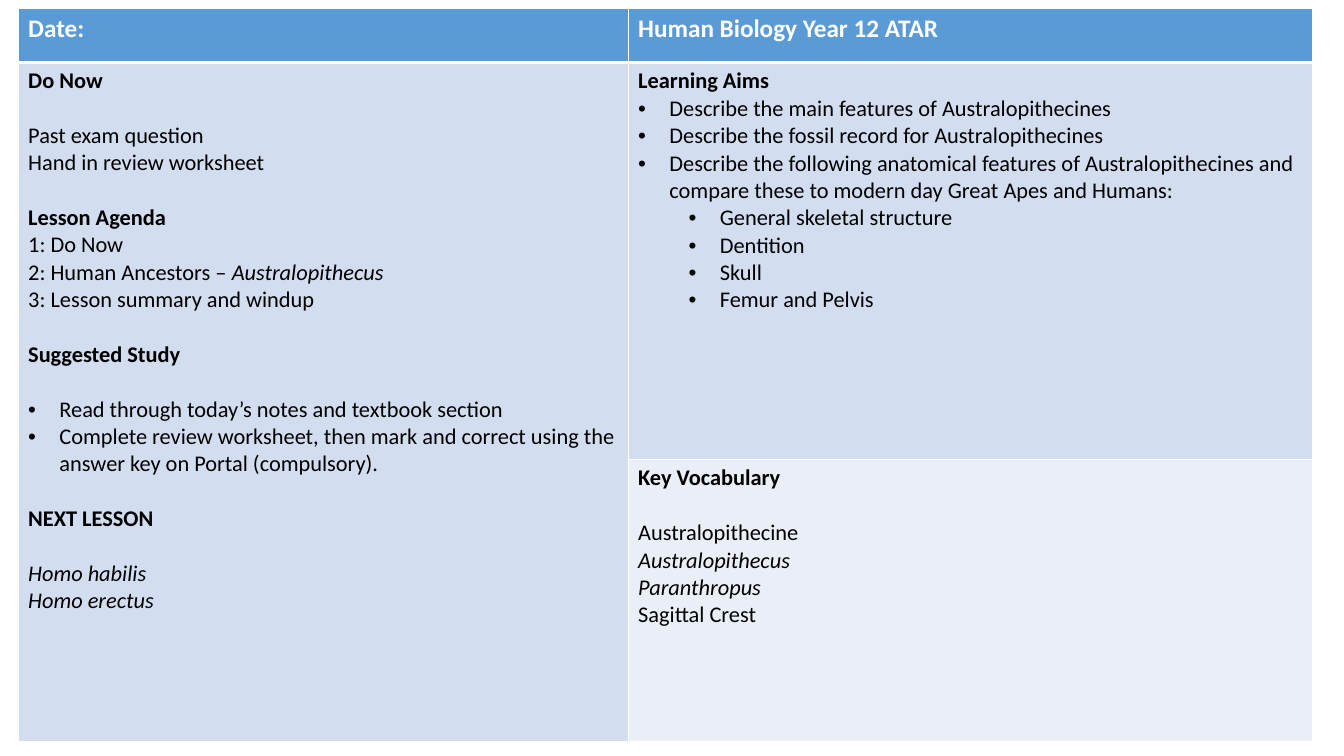
"""Build a lesson overview slide: agenda, learning aims and vocabulary in one table."""
from dataclasses import dataclass

from lxml import etree
from pptx import Presentation
from pptx import util as u
from pptx.dml.color import RGBColor
from pptx.oxml import ns

FONT = "Calibri"
BLUE, PALE, PALER = "5B9BD5", "D2DEEF", "EAEFF7"
WHITE, BLACK = "FFFFFF", "000000"
COLUMN_WIDTHS = (6.05, 6.79)
ROW_HEIGHTS = (0.54, 3.94, 2.8)
BULLET_HANG = 0.31
BODY_SIZE = 16
LINE_GAP = 19.5


@dataclass(frozen=True)
class Line:
    """One paragraph; the tail is a closing part in italics."""
    text: str = ""
    tail: str = ""
    bold: bool = False
    gap: bool = False
    bullet_left: float = 0


@dataclass(frozen=True)
class CellSpec:
    """One table cell with its place, fill and lines."""
    row: int
    column: int
    fill: str
    lines: tuple[Line, ...]
    size: int = BODY_SIZE
    color: str = BLACK


def heading(text: str, gap: bool = False) -> Line:
    """Return a bold line."""
    return Line(text, bold=True, gap=gap)


def bullet(text: str, level: int = 0, gap: bool = False) -> Line:
    """Return a bulleted line, indented by half an inch per level."""
    return Line(text, gap=gap, bullet_left=BULLET_HANG + 0.5 * level)


CELLS = (
    CellSpec(0, 0, BLUE, (heading("Date:"),), 18, WHITE),
    CellSpec(0, 1, BLUE, (heading("Human Biology Year 12 ATAR"),), 18, WHITE),
    CellSpec(1, 0, PALE, (
        heading("Do Now"),
        Line("Past exam question", gap=True),
        Line("Hand in review worksheet"),
        heading("Lesson Agenda", gap=True),
        Line("1: Do Now"),
        Line("2: Human Ancestors – ", "Australopithecus"),
        Line("3: Lesson summary and windup"),
        heading("Suggested Study", gap=True),
        bullet("Read through today’s notes and textbook section", gap=True),
        bullet("Complete review worksheet, then mark and correct using the "
               "answer key on Portal (compulsory)."),
        heading("NEXT LESSON", gap=True),
        Line(tail="Homo habilis", gap=True),
        Line(tail="Homo erectus"),
    )),
    CellSpec(1, 1, PALE, (
        heading("Learning Aims"),
        bullet("Describe the main features of Australopithecines"),
        bullet("Describe the fossil record for Australopithecines"),
        bullet("Describe the following anatomical features of Australopithecines "
               "and compare these to modern day Great Apes and Humans:"),
        bullet("General skeletal structure", 1),
        bullet("Dentition", 1),
        bullet("Skull", 1),
        bullet("Femur and Pelvis", 1),
    )),
    CellSpec(2, 0, PALE, ()),
    CellSpec(2, 1, PALER, (
        heading("Key Vocabulary"),
        Line("Australopithecine", gap=True),
        Line(tail="Australopithecus"),
        Line(tail="Paranthropus"),
        Line("Sagittal Crest"),
    )),
)


def rgb(color: str) -> RGBColor:
    """Turn a hex string into a colour."""
    return RGBColor.from_string(color)


def add_span(para, text: str, *, size: int, color: str,
             bold: bool = False, italic: bool = False) -> None:
    """Add formatted text to a paragraph."""
    span = para.add_run()
    span.text = text
    font = span.font
    font.name, font.size, font.bold, font.italic = FONT, u.Pt(size), bold, italic
    font.color.rgb = rgb(color)


def add_bullet(para, left: float) -> None:
    """Give a paragraph a hanging bullet."""
    properties = para._p.get_or_add_pPr()
    properties.set("marL", str(u.Inches(left)))
    properties.set("indent", str(-u.Inches(BULLET_HANG)))
    font = etree.SubElement(properties, ns.qn("a:buFont"))
    font.set("typeface", "Arial")
    etree.SubElement(properties, ns.qn("a:buChar")).set("char", "•")


def add_borders(cell, row: int) -> None:
    """Draw white cell borders, thicker below the header row."""
    widths = {"L": 1, "R": 1, "T": 3 if row == 1 else 1, "B": 3 if row == 0 else 1}
    properties = cell._tc.get_or_add_tcPr()
    for side, width in widths.items():
        border = etree.SubElement(properties, ns.qn(f"a:ln{side}"))
        border.set("w", str(u.Pt(width)))
        fill = etree.SubElement(border, ns.qn("a:solidFill"))
        etree.SubElement(fill, ns.qn("a:srgbClr")).set("val", WHITE)


def fill_cell(cell, spec: CellSpec) -> None:
    """Style a cell and write its lines."""
    add_borders(cell, spec.row)
    cell.fill.solid()
    cell.fill.fore_color.rgb = rgb(spec.fill)
    frame = cell.text_frame
    for index, line in enumerate(spec.lines):
        para = frame.add_paragraph() if index else frame.paragraphs[0]
        if line.gap:
            para.space_before = u.Pt(LINE_GAP)
        if line.bullet_left:
            add_bullet(para, line.bullet_left)
        for text, italic in ((line.text, False), (line.tail, True)):
            if text:
                add_span(para, text, size=spec.size, color=spec.color,
                         bold=line.bold, italic=italic)


def main() -> None:
    """Create and save the slide."""
    deck = Presentation()
    deck.slide_width, deck.slide_height = u.Inches(13.33), u.Inches(7.5)
    page = deck.slides.add_slide(deck.slide_layouts[6])
    table = page.shapes.add_table(
        len(ROW_HEIGHTS), len(COLUMN_WIDTHS), u.Inches(0.18), u.Inches(0.08),
        u.Inches(sum(COLUMN_WIDTHS)), u.Inches(sum(ROW_HEIGHTS))).table
    for column, width in zip(table.columns, COLUMN_WIDTHS):
        column.width = u.Inches(width)
    for row, height in zip(table.rows, ROW_HEIGHTS):
        row.height = u.Inches(height)
    table.cell(1, 0).merge(table.cell(2, 0))
    for spec in CELLS:
        fill_cell(table.cell(spec.row, spec.column), spec)
    deck.save("out.pptx")


if __name__ == "__main__":
    main()
